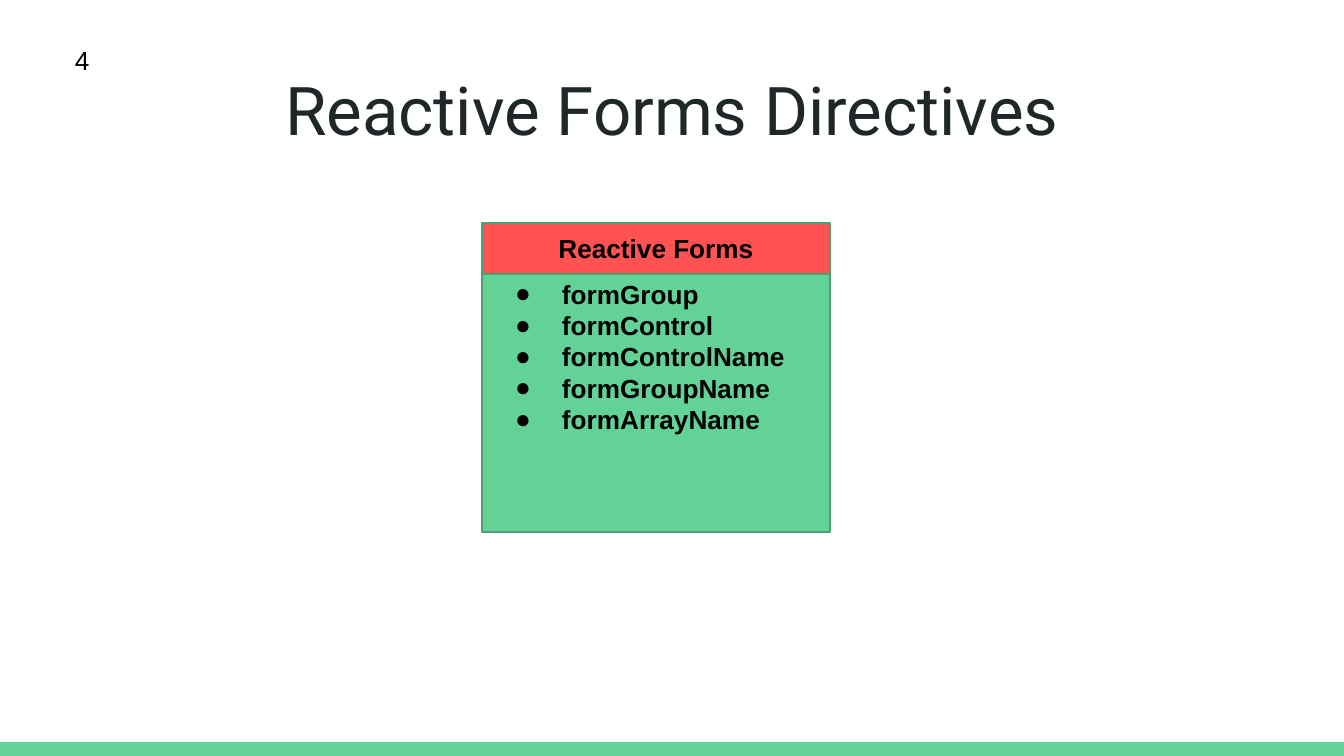
from pptx import Presentation
from pptx.dml.color import RGBColor
from pptx.enum.shapes import MSO_SHAPE as Preset
from pptx.enum.text import MSO_ANCHOR as Anchor, PP_ALIGN as Align
from pptx.oxml.ns import qn
from pptx.util import Pt
from lxml.etree import SubElement

EMU_PER_PX = 914400 / 134.4
WIDTH, HEIGHT = 1344, 756
INSET = 13

WHITE = RGBColor(0xFF, 0xFF, 0xFF)
BLACK = RGBColor(0x00, 0x00, 0x00)
INK = RGBColor(0x20, 0x27, 0x29)
GREEN = RGBColor(0x63, 0xD2, 0x97)
DARK_GREEN = RGBColor(0x4B, 0xA1, 0x73)
RED = RGBColor(0xFF, 0x52, 0x52)

DIRECTIVES = ["formGroup", "formControl", "formControlName",
              "formGroupName", "formArrayName"]


def px(length):
    return round(length * EMU_PER_PX)


def add_bullet(para, indent=67, hanging=47):
    properties = para._p.get_or_add_pPr()
    properties.set("marL", str(px(indent)))
    properties.set("indent", str(-px(hanging)))
    color = SubElement(properties, qn("a:buClr"))
    SubElement(color, qn("a:srgbClr"), val=str(BLACK))
    SubElement(properties, qn("a:buFont"), typeface="Arial")
    SubElement(properties, qn("a:buChar"), char="●")


def write(box, *lines, size=14, font="Arial", color=BLACK, bold=False,
          align=Align.LEFT, anchor=Anchor.TOP, top=INSET, bullets=False):
    """Fill a shape with one paragraph per line, all in one format."""
    frame = box.text_frame
    frame.word_wrap = True
    frame.vertical_anchor = anchor
    frame.margin_left = frame.margin_right = frame.margin_bottom = px(INSET)
    frame.margin_top = px(top)
    for index, line in enumerate(lines):
        para = frame.add_paragraph() if index else frame.paragraphs[0]
        para.alignment = align
        para.line_spacing = 1.0
        para.space_before = para.space_after = Pt(0)
        if bullets:
            add_bullet(para)
        span = para.add_run()
        span.text = line
        span.font.size = Pt(size)
        span.font.name = font
        span.font.bold = bold
        span.font.color.rgb = color


def add_panel(page, left, top, width, height, fill, line=None):
    panel = page.shapes.add_shape(
        Preset.RECTANGLE, px(left), px(top), px(width), px(height))
    panel.shadow.inherit = False
    panel.fill.solid()
    panel.fill.fore_color.rgb = fill
    if line is None:
        panel.line.fill.background()
    else:
        panel.line.color.rgb = line
        panel.line.width = Pt(0.75)
    return panel


def place_title(page, text):
    title = page.shapes.title
    title.left, title.top = px(46), px(66)
    title.width, title.height = px(WIDTH - 2 * 46), px(85)
    write(title, text, size=36, font="Roboto", color=INK,
          align=Align.CENTER, anchor=Anchor.MIDDLE)


def add_card(page, heading, items):
    left, top, width = 482, 223, 348
    # The heading bar overlaps the body, so the list starts below it
    body = add_panel(page, left, top + 11, width, 298, GREEN, DARK_GREEN)
    write(body, *items, bold=True, top=INSET + 31, bullets=True)
    bar = add_panel(page, left, top, width, 51, RED, DARK_GREEN)
    write(bar, heading, bold=True, align=Align.CENTER, anchor=Anchor.MIDDLE)


def main():
    deck = Presentation()
    deck.slide_width, deck.slide_height = px(WIDTH), px(HEIGHT)
    page = deck.slides.add_slide(deck.slide_layouts[5])
    page.background.fill.solid()
    page.background.fill.fore_color.rgb = WHITE

    # Footer band
    add_panel(page, 0, HEIGHT - 14, WIDTH, 14, GREEN)

    # Title and directive card
    place_title(page, "Reactive Forms Directives")
    add_card(page, "Reactive Forms", DIRECTIVES)

    # Page number
    number = page.shapes.add_textbox(px(62), px(31), px(754), px(87))
    write(number, "4")

    deck.save("out.pptx")


if __name__ == "__main__":
    main()
